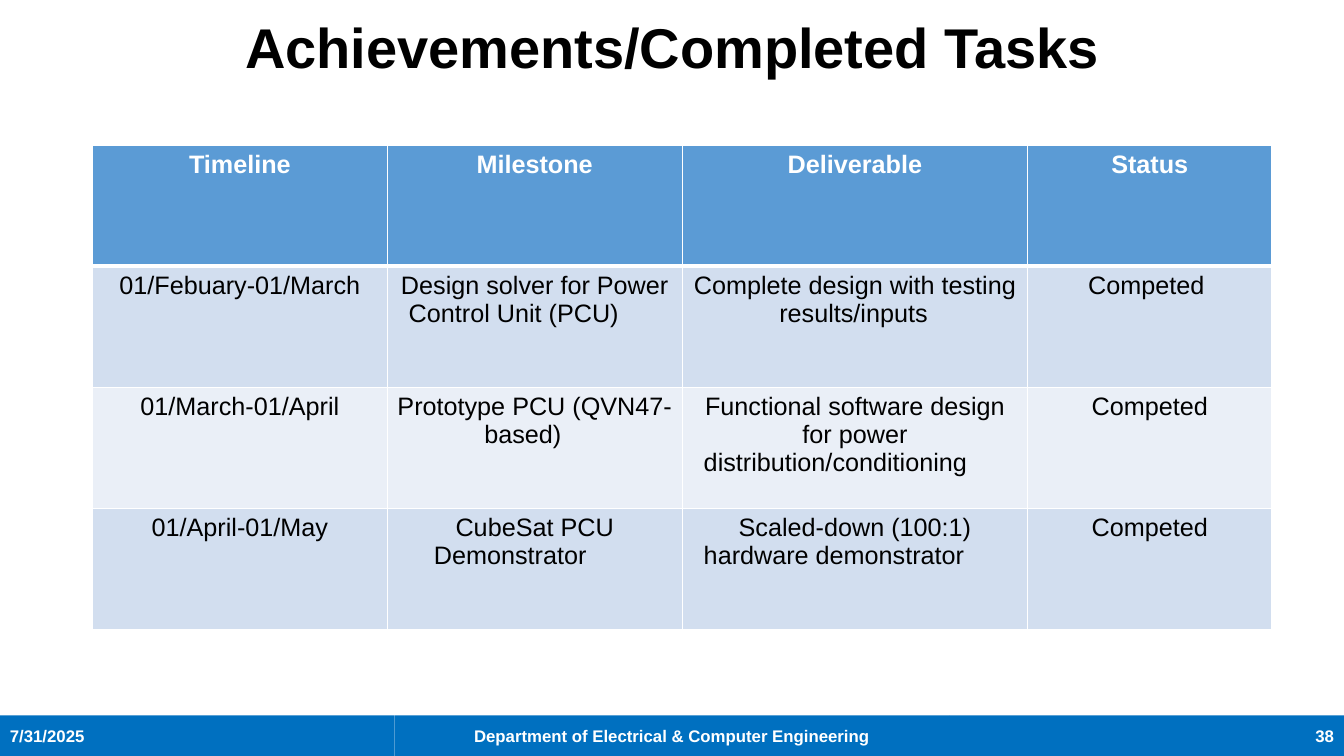
from pptx import Presentation
from pptx.dml.color import RGBColor
from pptx.enum.shapes import MSO_SHAPE
from pptx.enum.text import MSO_ANCHOR, PP_ALIGN
from pptx.oxml import parse_xml
from pptx.oxml.ns import nsdecls
from pptx.util import Cm, Pt

RECTANGLE = MSO_SHAPE.RECTANGLE
MIDDLE = MSO_ANCHOR.MIDDLE
LEFT, CENTER, RIGHT = PP_ALIGN.LEFT, PP_ALIGN.CENTER, PP_ALIGN.RIGHT

BLACK = RGBColor(0x00, 0x00, 0x00)
WHITE = RGBColor(0xFF, 0xFF, 0xFF)
FOOTER_BLUE = RGBColor(0x00, 0x70, 0xC0)
HEADER_BLUE = RGBColor(0x5B, 0x9B, 0xD5)
BAND_DARK = RGBColor(0xD2, 0xDE, 0xEF)
BAND_LIGHT = RGBColor(0xEA, 0xEF, 0xF7)

FOOTER_TOP, FOOTER_HEIGHT = 18.03, 1.02
FOOTER_PARTS = [
    ("7/31/2025", 9.95, LEFT),
    ("Department of Electrical & Computer Engineering", 13.97, CENTER),
    ("38", 9.95, RIGHT),
]

ROW_HEIGHT = 3.05
COLUMN_WIDTHS = [7.43, 7.43, 8.71, 6.15]
TASKS = [
    ("Timeline", "Milestone", "Deliverable", "Status"),
    ("01/Febuary-01/March", "Design solver for Power Control Unit (PCU)\t",
     "Complete design with testing results/inputs\t", "Competed "),
    ("01/March-01/April", "Prototype PCU (QVN47-based)\t",
     "Functional software design for power distribution/conditioning\t", "Competed"),
    ("01/April-01/May", "CubeSat PCU Demonstrator\t",
     "Scaled-down (100:1) hardware demonstrator\t", "Competed"),
]


def write_text(frame, text, size=18, color=BLACK, bold=False, align=CENTER, spacing=1.0):
    """Write one formatted paragraph into a text frame."""
    frame.word_wrap = True
    paragraph = frame.paragraphs[0]
    paragraph.alignment = align
    paragraph.line_spacing = spacing
    run = paragraph.add_run()
    run.text = text
    run.font.name = "Arial"
    run.font.size = Pt(size)
    run.font.bold = bold
    run.font.color.rgb = color


def add_title(slide, text):
    """Add the centred slide title."""
    title = slide.shapes.add_textbox(Cm(2.33), Cm(-0.58), Cm(29.21), Cm(3.68))
    title.text_frame.vertical_anchor = MIDDLE
    write_text(title.text_frame, text, size=40, bold=True, spacing=0.9)


def add_footer(slide):
    """Add the footer parts side by side across the slide."""
    left = 0
    for text, width, align in FOOTER_PARTS:
        part = slide.shapes.add_shape(
            RECTANGLE, Cm(left), Cm(FOOTER_TOP), Cm(width), Cm(FOOTER_HEIGHT))
        part.shadow.inherit = False
        part.fill.solid()
        part.fill.fore_color.rgb = FOOTER_BLUE
        part.line.fill.background()
        part.text_frame.vertical_anchor = MIDDLE
        write_text(part.text_frame, text, size=12, color=WHITE, bold=True, align=align)
        left += width


def set_borders(cell, **widths):
    """Draw white cell borders with the given widths in points."""
    properties = cell._tc.get_or_add_tcPr()
    for side, width in widths.items():
        properties.append(parse_xml(
            f'<a:ln{side} {nsdecls("a")} w="{Pt(width)}"><a:solidFill>'
            f'<a:srgbClr val="{WHITE}"/></a:solidFill></a:ln{side}>'))


def add_task_table(slide):
    """Add the table of tasks with a header and banded rows."""
    table = slide.shapes.add_table(
        len(TASKS), len(COLUMN_WIDTHS), Cm(2.33), Cm(3.66),
        Cm(sum(COLUMN_WIDTHS)), Cm(ROW_HEIGHT * len(TASKS))).table
    for column, width in zip(table.columns, COLUMN_WIDTHS):
        column.width = Cm(width)
    for row_index, task in enumerate(TASKS):
        table.rows[row_index].height = Cm(ROW_HEIGHT)
        is_header = row_index == 0
        band = BAND_DARK if row_index % 2 else BAND_LIGHT
        for column_index, text in enumerate(task):
            cell = table.cell(row_index, column_index)
            set_borders(cell, L=1, R=1, T=3 if row_index == 1 else 1, B=3 if is_header else 1)
            cell.fill.solid()
            cell.fill.fore_color.rgb = HEADER_BLUE if is_header else band
            write_text(cell.text_frame, text, bold=is_header,
                       color=WHITE if is_header else BLACK)


def main():
    """Build the slide and save it."""
    presentation = Presentation()
    presentation.slide_width = Cm(33.87)
    presentation.slide_height = Cm(19.05)
    slide = presentation.slides.add_slide(presentation.slide_layouts[6])
    add_title(slide, "Achievements/Completed Tasks")
    add_footer(slide)
    add_task_table(slide)
    presentation.save("out.pptx")


if __name__ == "__main__":
    main()
